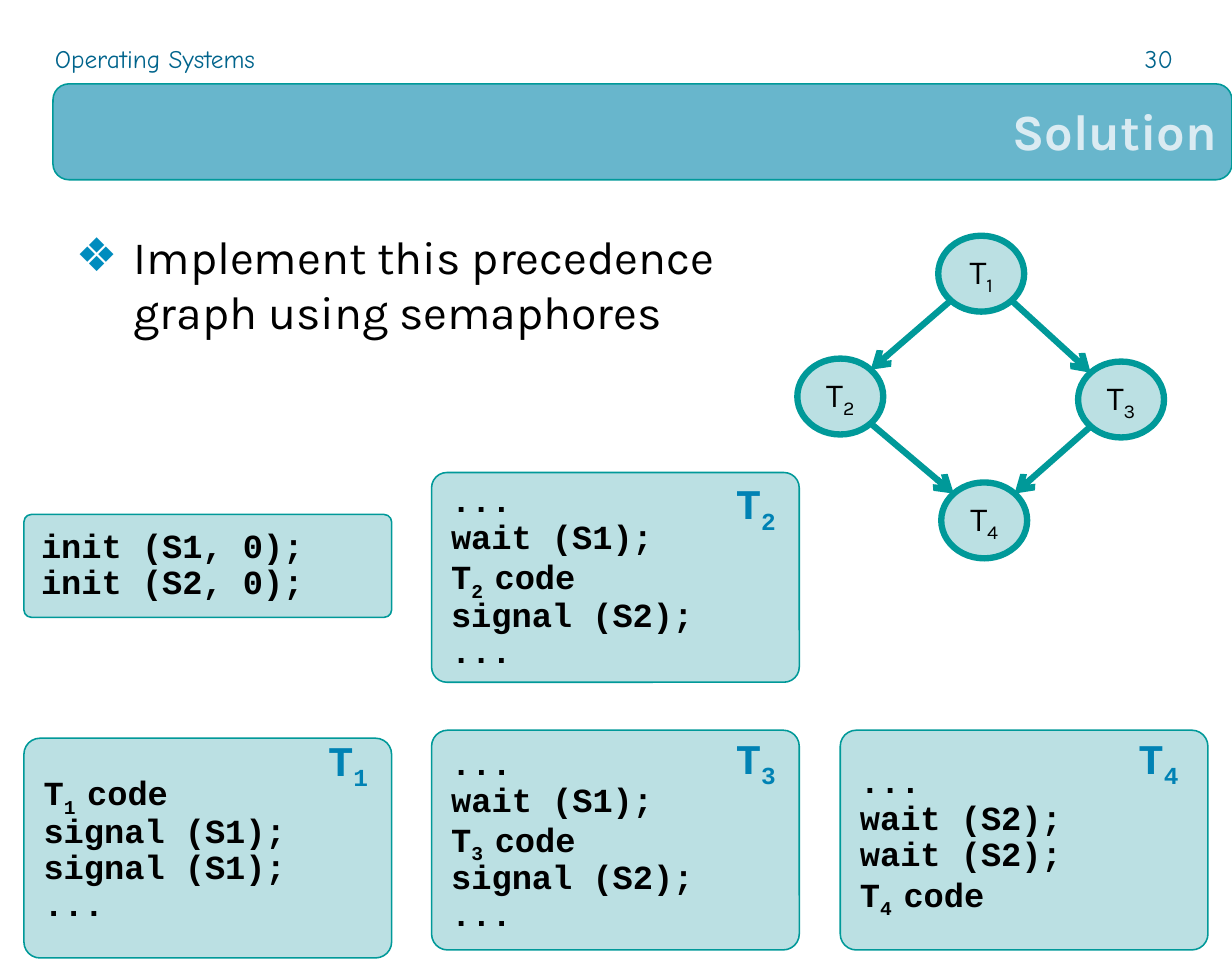
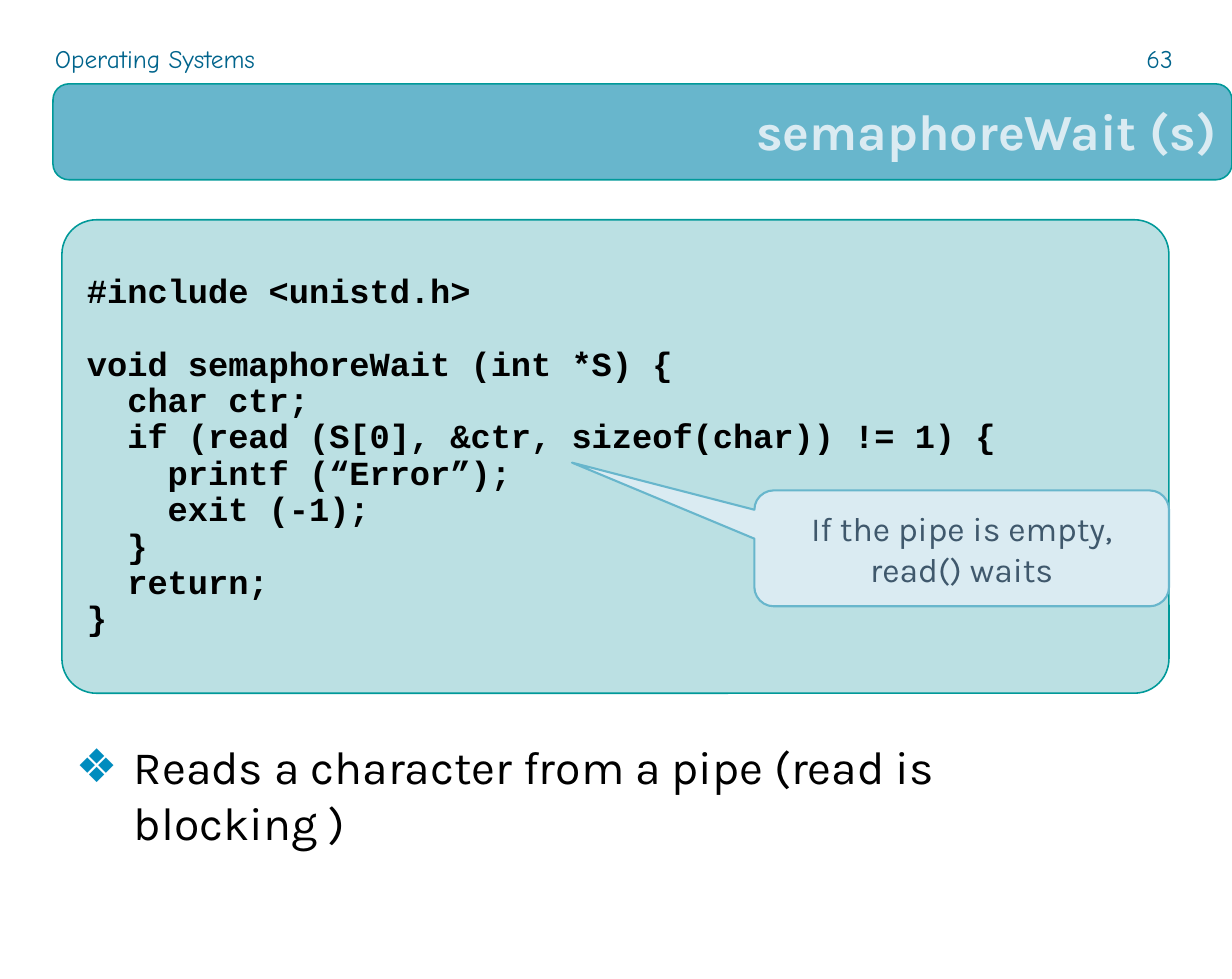
"""Build two slides on semaphores: a precedence graph and a pipe-based wait."""
import math

from lxml import etree
from pptx import Presentation
from pptx import util as u
from pptx.dml.color import RGBColor
from pptx.enum import shapes, text
from pptx.oxml.ns import qn

PX = 6016
COLORS = {
    "band": "68B6CC", "title": "DAEBF2", "header": "00648C",
    "edge": "009999", "panel": "BBE0E3", "label": "0082B4",
    "bullet": "008CBE", "ink": "000000", "note": "3F586C",
}
SANS, MONO, HAND = "Karla", "Courier New", "Comic Neue"
ROUND = shapes.MSO_SHAPE.ROUNDED_RECTANGLE
OVAL = shapes.MSO_SHAPE.OVAL
CALLOUT = shapes.MSO_SHAPE.ROUNDED_RECTANGULAR_CALLOUT
LEFT, CENTER, RIGHT = (text.PP_ALIGN.LEFT, text.PP_ALIGN.CENTER,
                       text.PP_ALIGN.RIGHT)
TOP, MIDDLE = text.MSO_ANCHOR.TOP, text.MSO_ANCHOR.MIDDLE


def px(*lengths):
    return [u.Emu(round(length * PX)) for length in lengths]


def color(name):
    return RGBColor.from_string(COLORS[name])


def add_bullet(para):
    props = para._p.get_or_add_pPr()
    props.set("marL", str(58 * PX))
    props.set("indent", str(-58 * PX))
    tint = etree.SubElement(props, qn("a:buClr"))
    etree.SubElement(tint, qn("a:srgbClr"), val=COLORS["bullet"])
    etree.SubElement(props, qn("a:buChar"), char="❖")


def write(box, content, *, font=SANS, size=16, ink="ink", bold=False,
          align=LEFT, anchor=MIDDLE, wrap=True, spacing=1.0, gap=17,
          inset=(15, 8), bullet=False):
    """Fill box line by line; text between tildes is subscript, an empty line is a gap."""
    frame = box.text_frame
    frame.auto_size = text.MSO_AUTO_SIZE.NONE
    frame.word_wrap = wrap
    frame.vertical_anchor = anchor
    frame.margin_left, frame.margin_top = px(*inset)
    frame.margin_right, frame.margin_bottom = px(*inset)
    para, before = None, 0
    for line in content.split("\n"):
        if not line:
            before = gap
            continue
        para = frame.add_paragraph() if para else frame.paragraphs[0]
        if bullet:
            add_bullet(para)
        para.alignment = align
        para.line_spacing = spacing
        para.space_before = u.Pt(before)
        before = 0
        for index, part in enumerate(line.split("~")):
            span = para.add_run()
            span.text = part
            span.font.name, span.font.size = font, u.Pt(size)
            span.font.bold = bold
            span.font.color.rgb = color(ink)
            if index % 2:
                span.font._element.set("baseline", "-25000")


class Lesson:
    """Holds the deck, its style and the current slide."""

    def __init__(self, width, height):
        self.deck = Presentation()
        self.deck.slide_width, self.deck.slide_height = px(width, height)
        self.page = None

    def start(self, title, number):
        self.page = self.deck.slides.add_slide(self.deck.slide_layouts[1])
        band = self.shape(ROUND, (53, 84, 1180, 96), fill="band",
                          corners=(0.167,))
        self.page.shapes._spTree.insert(2, band._element)
        self.caption("Operating Systems", (40, 35, 450, 46))
        self.caption(number, (1110, 35, 79, 46), align=RIGHT)
        write(self.place(self.page.shapes.title, (90, 82, 1143, 96)), title,
              size=24, ink="title", bold=True, align=RIGHT)

    def place(self, box, area):
        box.left, box.top, box.width, box.height = px(*area)
        return box

    def caption(self, content, area, align=LEFT):
        box = self.page.shapes.add_textbox(*px(*area))
        write(box, content, font=HAND, size=12, ink="header", align=align,
              anchor=TOP)

    def bullets(self, content, area):
        box = self.place(self.page.placeholders[1], area)
        write(box, content, size=22, anchor=TOP, bullet=True)

    def shape(self, kind, area, fill="panel", line="edge", weight=0.75,
              corners=()):
        box = self.page.shapes.add_shape(kind, *px(*area))
        box.shadow.inherit = False
        for index, value in enumerate(corners):
            box.adjustments[index] = value
        if fill:
            box.fill.solid()
            box.fill.fore_color.rgb = color(fill)
            box.line.color.rgb = color(line)
            box.line.width = u.Pt(weight)
        else:
            box.fill.background()
            box.line.fill.background()
        return box

    def code(self, content, area, **style):
        box = self.shape(ROUND, area, corners=(0.073,))
        write(box, content, font=MONO, bold=True, wrap=False, spacing=0.9)

    def label(self, content, left, top):
        box = self.shape(ROUND, (left, top, 68, 85), fill=None,
                         corners=(0.073,))
        write(box, content, font=MONO, size=20, ink="label", bold=True,
              wrap=False, spacing=0.9)

    def node(self, content, area):
        box = self.shape(OVAL, area, weight=3)
        write(box, content, align=CENTER, wrap=False, inset=(0, 0))

    def arrow(self, start, end):
        """Join the diagonal rim points of two ovals that face each other."""
        points = []
        for (left, top, width, height), other in ((start, end), (end, start)):
            across = math.copysign(math.sqrt(0.5), other[0] - left)
            down = math.copysign(math.sqrt(0.5), other[1] - top)
            points += [left + width / 2 * (1 + across),
                       top + height / 2 * (1 + down)]
        line = self.page.shapes.add_connector(
            shapes.MSO_CONNECTOR.STRAIGHT, *px(*points))
        line.line.color.rgb = color("edge")
        line.line.width = u.Pt(3)
        etree.SubElement(line.line._get_or_add_ln(), qn("a:tailEnd"),
                         type="arrow")
        etree.SubElement(line._element.spPr, qn("a:effectLst"))

    def callout(self, content, area, tip):
        box = self.shape(CALLOUT, area, fill="title", line="band", weight=1,
                         corners=(*tip, 0.167))
        write(box, content, ink="note", align=CENTER)


def solution(lesson):
    lesson.start("Solution", "30")
    lesson.bullets("Implement this precedence graph using semaphores",
                   (61, 220, 734, 155))

    lesson.code("init (S1, 0);\ninit (S2, 0);", (24, 515, 368, 103))
    middle = "...\nwait (S1);\nT~{0} ~code\nsignal (S2);\n..."
    tasks = [
        (1, "T~{0} ~code\nsignal (S1);\nsignal (S1);\n...",
         (24, 739, 220), (312, 719)),
        (2, middle, (432, 473, 210), (720, 462)),
        (3, middle, (432, 731, 220), (720, 717)),
        (4, "...\nwait (S2);\nwait (S2);\nT~{0} ~code",
         (841, 731, 220), (1123, 717)),
    ]
    for number, content, (left, top, height), corner in tasks:
        lesson.code(content.format(number), (left, top, 368, height))
        lesson.label(f"T~{number}", *corner)

    corners = {1: (939, 236), 2: (798, 359), 3: (1079, 362), 4: (942, 483)}
    nodes = {number: (*corner, 86, 76) for number, corner in corners.items()}
    for number, area in nodes.items():
        lesson.node(f"T~{number}", area)
    for start, end in ((1, 2), (1, 3), (2, 4), (3, 4)):
        lesson.arrow(nodes[start], nodes[end])


def semaphore_wait(lesson):
    lesson.start("semaphoreWait (s)", "63")
    lesson.code("""#include <unistd.h>

void semaphoreWait (int *S) {
  char ctr;
  if (read (S[0], &ctr, sizeof(char)) != 1) {
    printf (“Error”);
    exit (-1);
  }
  return;
}""", (62, 220, 1108, 474))
    lesson.bullets("Reads a character from a pipe (read is blocking )",
                   (61, 731, 1110, 166))
    lesson.callout("If the pipe is empty, read() waits",
                   (755, 491, 415, 116), tip=(-0.94, -0.74))


def main():
    lesson = Lesson(1233, 980)
    solution(lesson)
    semaphore_wait(lesson)
    lesson.deck.save("out.pptx")


if __name__ == "__main__":
    main()
